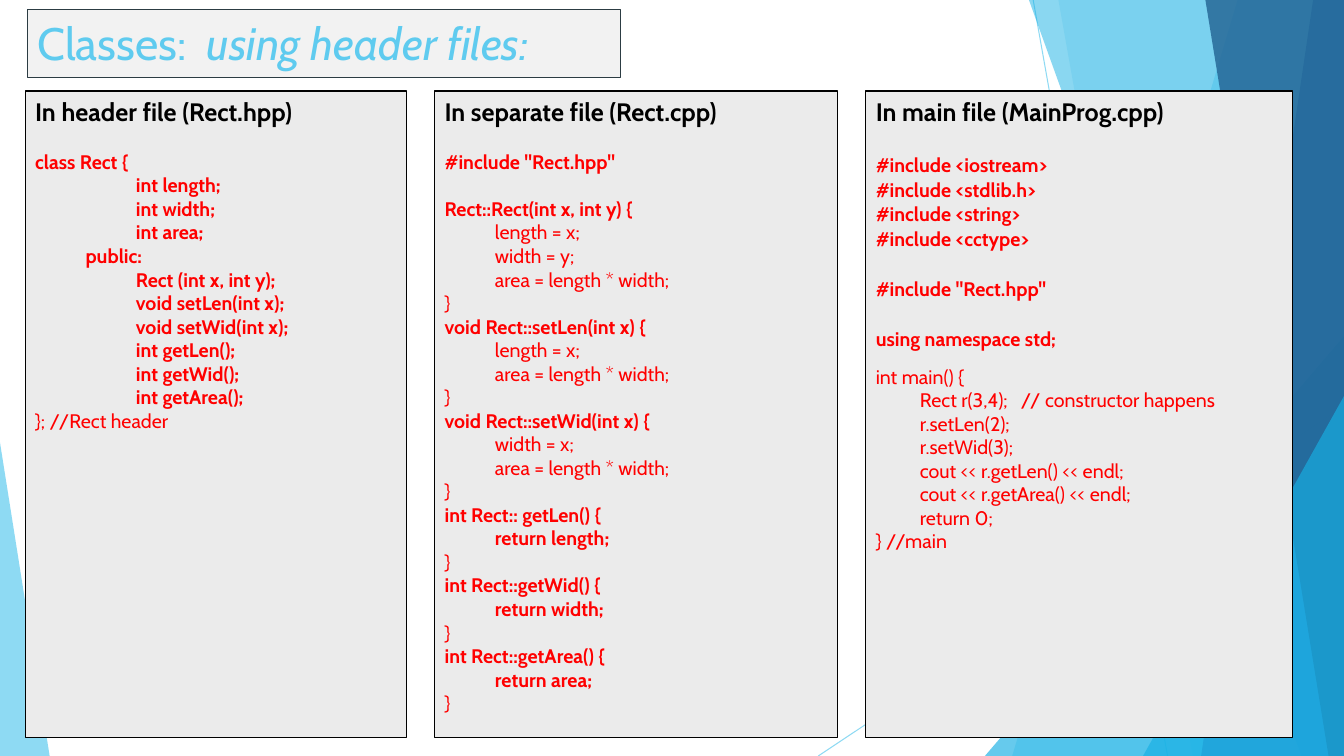
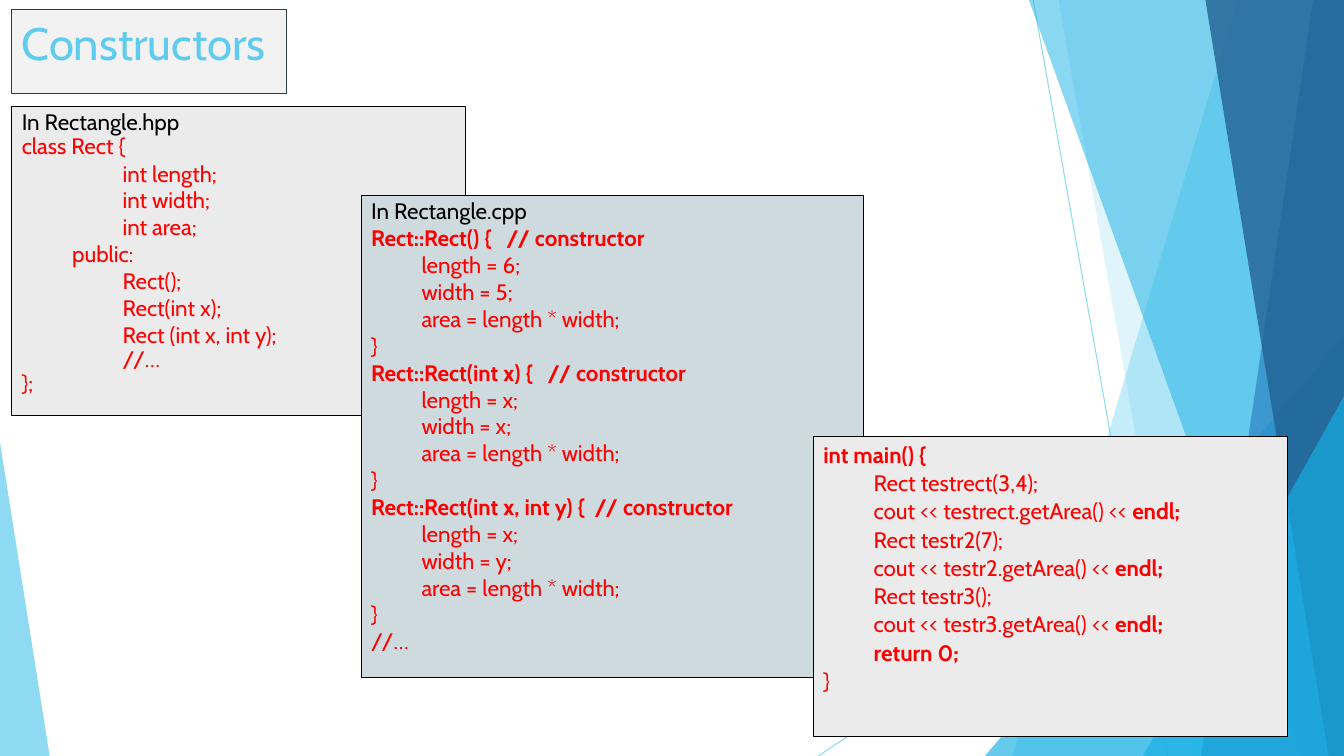
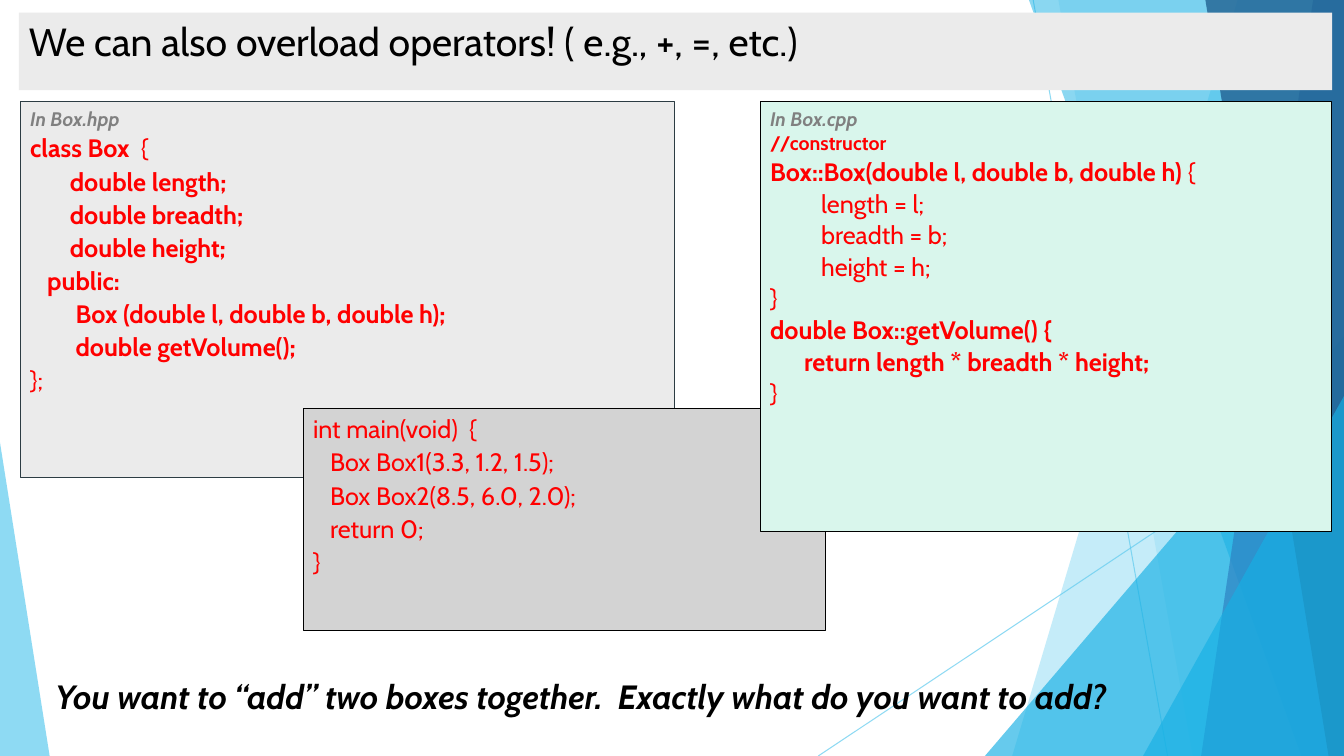
import pptx
import pptx.dml.color
import pptx.enum.shapes
import pptx.enum.text
import pptx.oxml.ns
import pptx.util
from dataclasses import dataclass
from lxml import etree

Pt = pptx.util.Pt
qn = pptx.oxml.ns.qn


@dataclass(frozen=True)
class Theme:
    font: str = "Cabin"
    width: float = 960
    height: float = 540
    tab: float = 36
    line_width: float = 0.75
    line_height: float = 1.2
    black: str = "000000"
    code: str = "FF0000"
    caption: str = "808080"
    sky: str = "5FCBEF"
    cyan: str = "17B0E4"
    blue: str = "2E83C3"
    navy: str = "226292"
    slate: str = "2C3C43"
    title_fill: str = "F2F2F2"
    panel: str = "EBEBEB"
    panel_blue: str = "CFDADF"
    panel_green: str = "D9F6EC"
    panel_gray: str = "D3D3D3"
    title_size: float = 32.4
    banner_size: float = 28
    question_size: float = 24
    large: float = 18
    medium: float = 16
    small: float = 14


THEME = Theme()


@dataclass(frozen=True)
class Block:
    """Lines of one style; ** switches the emphasis on and off, an empty line leaves a gap."""
    text: str
    size: float
    color: str = THEME.code
    bold: bool = False
    italic: bool = False
    emphasis: str = "bold"
    before: float = 0
    spacing: float = 1
    indent: float = 0


RECT_HEADER = """\

**class Rect {**
**\t\tint length;**
**\t\tint width;**
**\t\tint area;**
**\tpublic:**
**\t\tRect (int x, int y);**
**\t\tvoid setLen(int x);**
**\t\tvoid setWid(int x);**
**\t\tint getLen();**
**\t\tint getWid();**
**\t\tint getArea();**
}; //Rect header"""

RECT_SOURCE = """\

**#include "Rect.hpp"**

**Rect::Rect(int x, int y) {**
\tlength = x;
\twidth = y;
\tarea = length * width;
}
**void Rect::setLen(int x) {**
\tlength = x;
\tarea = length * width;
}
**void Rect::setWid(int x) {**
\twidth = x;
\tarea = length * width;
}
**int Rect:: getLen() {**
**\treturn length;**
}
**int Rect::getWid() {**
**\treturn width;**
}
**int Rect::getArea() {**
**\treturn area;**
}"""

MAIN_INCLUDES = """\

#include <iostream>
#include <stdlib.h>
#include <string>
#include <cctype>

#include "Rect.hpp"

using namespace std;"""

MAIN_BODY = """\
Rect r(3,4);   // constructor happens
r.setLen(2);
r.setWid(3);
cout << r.getLen() << endl;
cout << r.getArea() << endl;
return 0;"""

CONSTRUCTOR_HEADER = """\
\t\tint length;
\t\tint width;
\t\tint area;
  \tpublic:
\t\tRect();
\t\tRect(int x);
\t\tRect (int x, int y);"""

CONSTRUCTOR_SOURCE = """\
**Rect::Rect() {   // constructor**
\tlength = 6;
\twidth = 5;
\tarea = length * width;
}
**Rect::Rect(int x) {   // constructor**
\tlength = x;
\twidth = x;
\tarea = length * width;
}
**Rect::Rect(int x, int y) {  // constructor**
\tlength = x;
\twidth = y;
\tarea = length * width;
}
//…"""

CONSTRUCTOR_MAIN = """\
**int main() {**
\tRect testrect(3,4);
\tcout << testrect.getArea() << **endl;**
\tRect testr2(7);
\tcout << testr2.getArea() << **endl;**
\tRect testr3();
\tcout << testr3.getArea() << **endl;**
**\treturn 0;**
}"""

BOX_HEADER = """\
**class Box  **{
**       double length;**
**       double breadth;**
**       double height;**
**   public:**
**        Box (double l, double b, double h);**
**        double getVolume();**
};"""

BOX_MAIN = """\
int main(void)  {
   Box Box1(3.3, 1.2, 1.5);
   Box Box2(8.5, 6.0, 2.0);
   return 0;
}"""

BOX_SOURCE = """\
**Box::Box(double l, double b, double h) **{
         length = l;
         breadth = b;
         height = h;
}
**double Box::getVolume() {**
**      return length * breadth * height;**
}"""


def rgb(color):
    return pptx.dml.color.RGBColor.from_string(color)


def set_opacity(shape, percent):
    for color in shape.element.iter(qn("a:srgbClr")):
        etree.SubElement(color, qn("a:alpha")).set("val", str(percent * 1000))


def paint(shape, fill, line=None):
    shape.shadow.inherit = False
    shape.fill.solid()
    shape.fill.fore_color.rgb = rgb(fill)
    if line:
        shape.line.color.rgb = rgb(line)
        shape.line.width = Pt(THEME.line_width)
    else:
        shape.line.fill.background()


def add_ray(slide, *ends):
    ray = slide.shapes.add_connector(
        pptx.enum.shapes.MSO_CONNECTOR.STRAIGHT, *map(Pt, ends))
    ray.line.color.rgb = rgb(THEME.sky)
    ray.line.width = Pt(THEME.line_width)
    etree.SubElement(ray.element.spPr, qn("a:effectLst"))
    set_opacity(ray, 70)


def add_wedge(slide, top_x, bottom_x, color, opacity):
    """Fill from a slanted left side to the right edge of the slide."""
    right, bottom = Pt(THEME.width), Pt(THEME.height)
    builder = slide.shapes.build_freeform(Pt(top_x), 0)
    builder.add_line_segments([(right, 0), (right, bottom), (Pt(bottom_x), bottom)], close=True)
    wedge = builder.convert_to_shape()
    paint(wedge, color)
    set_opacity(wedge, opacity)


def add_corner(slide, left, top, right, apex, color, opacity):
    """Triangle standing on the bottom edge; apex 0 is left and 1 is right."""
    corner = slide.shapes.add_shape(
        pptx.enum.shapes.MSO_SHAPE.ISOSCELES_TRIANGLE,
        Pt(left), Pt(top), Pt(right - left), Pt(THEME.height - top))
    corner.adjustments[0] = apex
    paint(corner, color)
    set_opacity(corner, opacity)


def add_backdrop(slide):
    add_ray(slide, 738, 0, 834, 540)
    add_ray(slide, 960, 290, 584.5, 540)
    add_wedge(slide, 884, 723, THEME.sky, 36)
    add_wedge(slide, 756, 852, THEME.sky, 20)
    add_corner(slide, 703.5, 240, 960, 1, THEME.cyan, 66)
    add_wedge(slide, 735, 929.5, THEME.cyan, 50)
    add_wedge(slide, 938, 858, THEME.blue, 70)
    add_wedge(slide, 861, 949, THEME.navy, 80)
    add_corner(slide, 816.5, 283, 960, 1, THEME.cyan, 66)
    add_corner(slide, 0, 316, 35.5, 0, THEME.sky, 70)


def share_backdrop(layout, slide):
    """Draw the backdrop on the slide, then move it to the layout for every slide."""
    for placeholder in list(layout.placeholders):
        placeholder.element.getparent().remove(placeholder.element)
    add_backdrop(slide)
    for shape in list(slide.shapes):
        layout.shapes.element.append(shape.element)


def add_tab_stops(para):
    stops = etree.SubElement(para._p.get_or_add_pPr(), qn("a:tabLst"))
    for number in (1, 2):
        etree.SubElement(stops, qn("a:tab"), pos=str(Pt(THEME.tab * number)), algn="l")


def write_line(para, line, block):
    para.alignment = pptx.enum.text.PP_ALIGN.LEFT
    if "\t" in line:
        add_tab_stops(para)
    if block.indent:
        para._p.get_or_add_pPr().set("marL", str(Pt(block.indent)))
    if block.spacing != 1:
        para.line_spacing = block.spacing
    for index, piece in enumerate(line.split("**")):
        if not piece:
            continue
        span = para.add_run()
        span.text = piece
        span.font.name = THEME.font
        span.font.size = Pt(block.size)
        span.font.color.rgb = rgb(block.color)
        span.font.bold, span.font.italic = block.bold, block.italic
        if index % 2:
            setattr(span.font, block.emphasis, True)


def write_blocks(box, blocks):
    frame = box.text_frame
    frame.word_wrap = True
    frame.vertical_anchor = pptx.enum.text.MSO_ANCHOR.TOP
    para = None
    for block in blocks:
        gap = 0
        for line in block.text.split("\n"):
            if not line:
                gap = block.size * THEME.line_height + block.before
                continue
            if para is None:
                para = frame.paragraphs[0]
            else:
                para = frame.add_paragraph()
                para.space_before = Pt(round(gap + block.before, 1))
            write_line(para, line, block)
            gap = 0


def add_panel(slide, area, blocks, fill=THEME.panel, line=THEME.black):
    panel = slide.shapes.add_shape(
        pptx.enum.shapes.MSO_SHAPE.RECTANGLE, *map(Pt, area))
    paint(panel, fill, line)
    write_blocks(panel, blocks)


def add_title(slide, area, text):
    title = Block(text, THEME.title_size, THEME.sky, emphasis="italic")
    add_panel(slide, area, [title], THEME.title_fill, THEME.slate)


def fill_header_files(slide):
    add_title(slide, (19.5, 7, 424, 48.5), "Classes:  **using header files:**")
    size = THEME.small
    columns = [
        (272.5, "In header file (Rect.hpp)", [Block(RECT_HEADER, size)]),
        (288, "In separate file (Rect.cpp)", [Block(RECT_SOURCE, size)]),
        (304.5, "In main file (MainProg.cpp)", [
            Block(MAIN_INCLUDES, size, bold=True, before=1),
            Block("int main() {", size, before=10),
            Block(MAIN_BODY, size, indent=31.5),
            Block("} //main", size)]),
    ]
    left, gap = 18, 20
    for width, heading, code in columns:
        heading_block = Block(heading, THEME.large, THEME.black, bold=True)
        add_panel(slide, (left, 65, width, 461.5), [heading_block, *code])
        left += width + gap


def fill_constructors(slide):
    add_title(slide, (8.5, 7, 196, 60), "Constructors")
    size, tight = THEME.medium, 0.9
    add_panel(slide, (8.5, 76, 324, 221), [
        Block("In Rectangle.hpp", size, THEME.black, spacing=tight),
        Block("class Rect {", size, spacing=tight),
        Block(CONSTRUCTOR_HEADER, size),
        Block("\t\t//…\n};", size, spacing=tight)])
    add_panel(slide, (258, 139.5, 358.5, 344.5), [
        Block("In Rectangle.cpp", size, THEME.black, spacing=tight),
        Block(CONSTRUCTOR_SOURCE, size)], THEME.panel_blue)
    add_panel(slide, (581, 311.5, 338.5, 214.5),
              [Block(CONSTRUCTOR_MAIN, size, before=1)])


def fill_operators(slide):
    add_panel(slide, (13.5, 9, 938, 55.5), [
        Block("We can also overload operators! ( e.g., +, =, etc.)",
              THEME.banner_size, THEME.black)], line=None)
    add_panel(slide, (14.5, 72.5, 467.5, 268.5), [
        Block("In Box.hpp", THEME.small, THEME.caption, bold=True, italic=True),
        Block(BOX_HEADER, THEME.large, before=2)], line=THEME.slate)
    add_panel(slide, (216.5, 292, 373, 158.5),
              [Block(BOX_MAIN, THEME.large, before=2)], THEME.panel_gray)
    add_panel(slide, (543, 72.5, 408, 307.5), [
        Block("In Box.cpp", THEME.small, THEME.caption, bold=True, italic=True),
        Block("//constructor", THEME.small, bold=True, before=1),
        Block(BOX_SOURCE, THEME.large, before=1)], THEME.panel_green)
    question = slide.shapes.add_textbox(Pt(32.5), Pt(479), Pt(875), Pt(36))
    write_blocks(question, [
        Block("You want to “add” two boxes together.  Exactly what do you want to add?",
              THEME.question_size, THEME.black, bold=True, italic=True)])


def main():
    deck = pptx.Presentation()
    deck.slide_width, deck.slide_height = Pt(THEME.width), Pt(THEME.height)
    blank = deck.slide_layouts[6]
    pages = [deck.slides.add_slide(blank) for _ in range(3)]
    share_backdrop(blank, pages[0])
    for fill_page, page in zip((fill_header_files, fill_constructors, fill_operators), pages):
        fill_page(page)
    deck.save("out.pptx")


if __name__ == "__main__":
    main()
